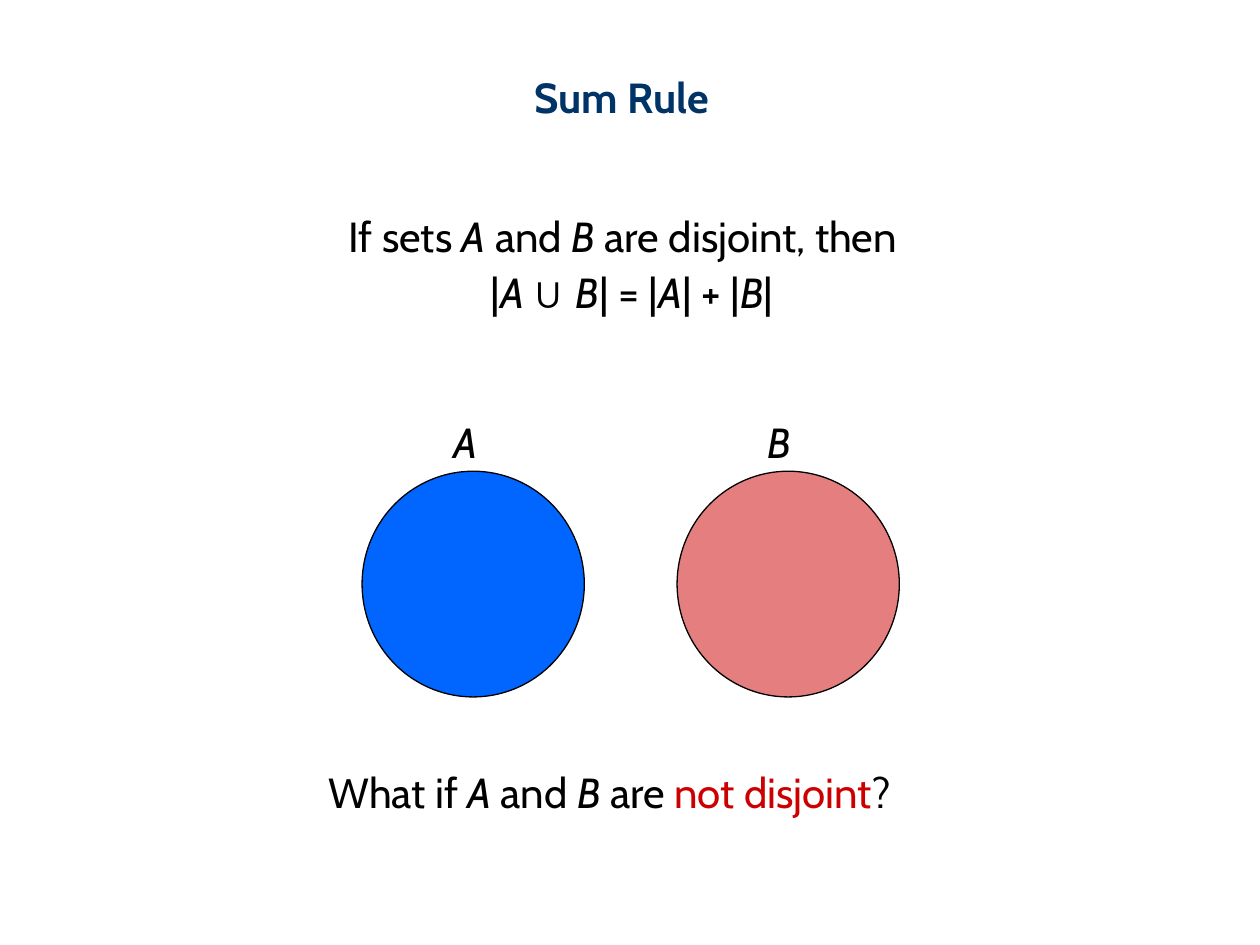
from dataclasses import dataclass

from lxml import etree
from pptx import Presentation
from pptx.dml.color import RGBColor
from pptx.enum.shapes import MSO_SHAPE
from pptx.enum.text import MSO_ANCHOR, MSO_AUTO_SIZE, PP_ALIGN
from pptx.oxml.ns import qn
from pptx.util import Cm, Pt

OVAL = MSO_SHAPE.OVAL
TOP = MSO_ANCHOR.TOP
NO_FIT, GROW = MSO_AUTO_SIZE.NONE, MSO_AUTO_SIZE.SHAPE_TO_FIT_TEXT
LEFT, CENTER = PP_ALIGN.LEFT, PP_ALIGN.CENTER

BLACK, NAVY, BLUE, RED = "000000", "003366", "0066FF", "CC0000"
BASE = {"name": "Cabin", "size": Pt(24), "bold": False, "italic": False}
ITALIC = {"italic": True}


@dataclass
class Run:
    text: str
    fmt: dict
    color: str = BLACK


@dataclass
class SetCircle:
    label: str
    label_left: float
    left: float
    color: str
    opacity: int = 100


A, B = Run("A", ITALIC), Run("B", ITALIC)
TITLE = [Run("Sum Rule", {"bold": True}, NAVY)]
RULE = [
    [Run("If sets ", {}), A, Run(" and ", {}), B, Run(" are disjoint, then ", {})],
    [Run(" |", {}), Run("A ", ITALIC), Run("∪ ", {"name": "Arial"}), B,
     Run("| = |", {}), A, Run("| + |", {}), B, Run("|", {})],
]
QUESTION = [Run("What if", {}), Run(" A", ITALIC), Run(" and ", {}), B,
            Run(" are ", {}), Run("not disjoint", {}, RED), Run("?", {})]
CIRCLES = [
    SetCircle("A", 8.89, 7.3, BLUE),
    SetCircle("B", 15.22, 13.65, RED, 50),
]


def rgb(color: str) -> RGBColor:
    return RGBColor.from_string(color)


def place(sp, left: float, top: float, width: float, height: float) -> None:
    sp.left, sp.top, sp.width, sp.height = map(Cm, (left, top, width, height))


def write(tf, paragraphs: list[list[Run]], frame: dict, para: dict,
          margin: float = 0, indent: float = 0) -> None:
    for key, value in {"vertical_anchor": TOP, **frame}.items():
        setattr(tf, key, value)
    for i, runs in enumerate(paragraphs):
        p = tf.add_paragraph() if i else tf.paragraphs[0]
        for key, value in para.items():
            setattr(p, key, value)
        p.space_before = Pt(6 if i else 0)
        pPr = p._p.get_or_add_pPr()
        pPr.set("marL", str(Cm(margin)))
        pPr.set("indent", str(Cm(indent)))
        for run in runs:
            r = p.add_run()
            r.text = run.text
            for key, value in {**BASE, **run.fmt}.items():
                setattr(r.font, key, value)
            r.font.color.rgb = rgb(run.color)


def add_text(s, box: tuple, paragraphs: list[list[Run]], frame: dict,
             para: dict, margin: float = 0, indent: float = 0) -> None:
    sp = s.shapes.add_textbox(*map(Cm, box))
    write(sp.text_frame, paragraphs, frame, para, margin, indent)


def add_circle(s, c: SetCircle) -> None:
    sp = s.shapes.add_shape(OVAL, Cm(c.left), Cm(9.5), Cm(4.48), Cm(4.55))
    sp.shadow.inherit = False
    sp.fill.solid()
    sp.fill.fore_color.rgb = rgb(c.color)
    sp.line.color.rgb = rgb(BLACK)
    sp.line.width = Pt(0.75)
    if c.opacity < 100:
        clr = sp._element.spPr.find(qn("a:solidFill")).find(qn("a:srgbClr"))
        etree.SubElement(clr, qn("a:alpha")).set("val", str(c.opacity * 1000))
    add_text(s, (c.label_left, 8.28, 1, 1.27), [[Run(c.label, ITALIC)]],
             {"word_wrap": False, "auto_size": GROW}, {"alignment": LEFT})


def main() -> None:
    prs = Presentation()
    prs.slide_width, prs.slide_height = Cm(25.4), Cm(19.05)
    s = prs.slides.add_slide(prs.slide_layouts[5])

    title = s.shapes.title
    place(title, 10.52, 1.32, 4.45, 1.27)
    write(title.text_frame, [TITLE], {"word_wrap": True, "auto_size": NO_FIT},
          {"alignment": LEFT})

    add_text(s, (2.67, 4.24, 19.96, 4.88), RULE,
             {"word_wrap": True, "auto_size": NO_FIT},
             {"alignment": CENTER, "line_spacing": 0.9}, 0.95, -0.95)
    for circle in CIRCLES:
        add_circle(s, circle)
    add_text(s, (5.1, 15.32, 15.24, 1.27), [QUESTION],
             {"word_wrap": True, "auto_size": GROW},
             {"alignment": LEFT, "level": 1}, 1.27)

    prs.save("out.pptx")


if __name__ == "__main__":
    main()
